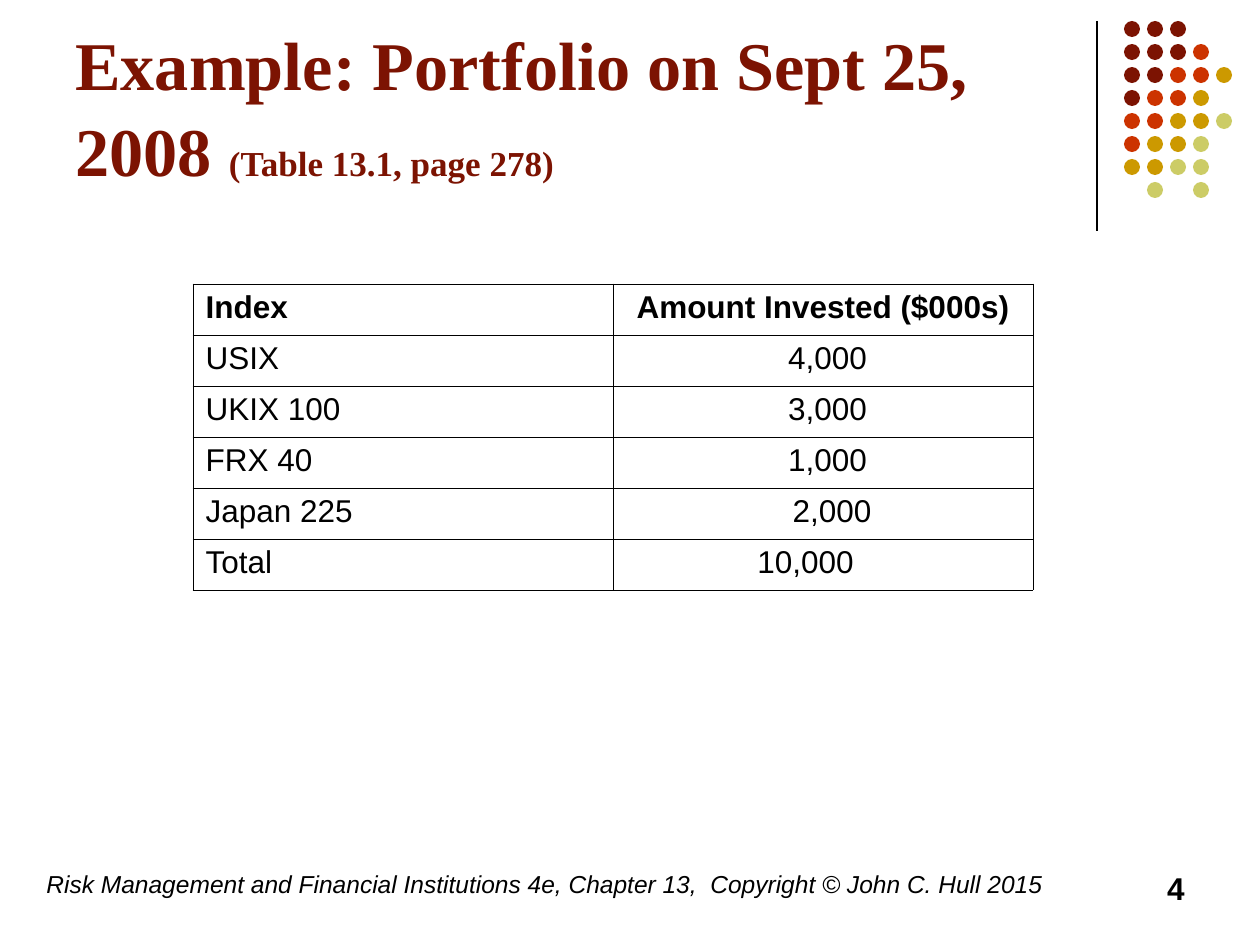
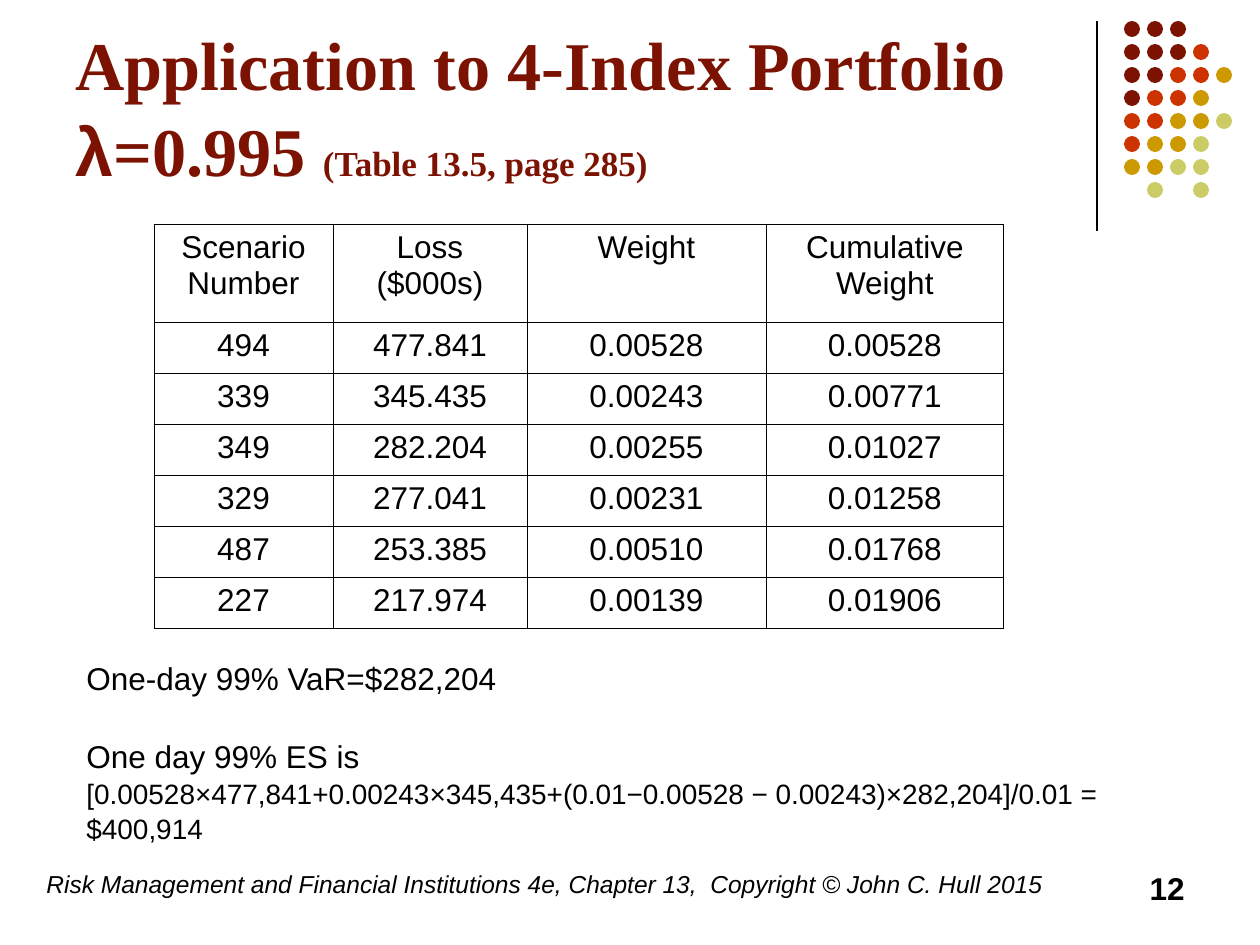
from dataclasses import dataclass

from lxml.etree import SubElement
from pptx import Presentation
from pptx.dml.color import RGBColor
from pptx.enum.shapes import MSO_CONNECTOR, MSO_SHAPE
from pptx.enum.text import MSO_ANCHOR, PP_ALIGN
from pptx.oxml import parse_xml
from pptx.oxml.ns import nsdecls, qn
from pptx.util import Emu, Pt


@dataclass(frozen=True)
class Theme:
    ink: str = "000000"
    dark: str = "7C1302"
    red: str = "CC3300"
    gold: str = "CC9900"
    lime: str = "CCCC66"
    sans: str = "Arial"
    serif: str = "Times New Roman"
    head: int = 39
    cite: int = 20
    body: int = 18
    small: int = 16
    foot: int = 14
    lead: float = 1.05
    edge: float = 0.45
    rule: float = 0.75


LOOK = Theme()
SCALE = 914400 / 126
DOTS = ["ddd", "dddr", "ddrrg", "drrg", "rrggl", "rggl", "ggll", " l l"]
HUES = {"d": LOOK.dark, "r": LOOK.red, "g": LOOK.gold, "l": LOOK.lime}
FOOT = ("Risk Management and Financial Institutions 4e, Chapter 13,  "
        "Copyright © John C. Hull 2015")


def px(count):
    return Emu(round(count * SCALE))


def say(para, text, size=LOOK.body, font=LOOK.sans, hue=LOOK.ink,
        bold=False, slant=False):
    run = para.add_run()
    run.text = text
    run.font.size = Pt(size)
    run.font.name = font
    run.font.color.rgb = RGBColor.from_string(hue)
    run.font.bold = bold
    run.font.italic = slant


def add_box(slide, left, top, width, height, anchor=MSO_ANCHOR.TOP):
    frame = slide.shapes.add_textbox(*map(px, (left, top, width, height))).text_frame
    frame.word_wrap = True
    frame.vertical_anchor = anchor
    frame.paragraphs[0].line_spacing = LOOK.lead
    return frame


def add_dots(slide):
    for row, marks in enumerate(DOTS):
        for col, mark in enumerate(marks):
            if mark == " ":
                continue
            dot = slide.shapes.add_shape(
                MSO_SHAPE.OVAL, px(1124 + 23 * col), px(21 + 23 * row), px(16), px(16))
            dot.shadow.inherit = False
            dot.fill.solid()
            dot.fill.fore_color.rgb = RGBColor.from_string(HUES[mark])
            dot.line.fill.background()


def add_rule(slide):
    rule = slide.shapes.add_connector(
        MSO_CONNECTOR.STRAIGHT, px(1097), px(21), px(1097), px(231))
    rule.line.color.rgb = RGBColor.from_string(LOOK.ink)
    rule.line.width = Pt(LOOK.rule)
    SubElement(rule._element.spPr, qn("a:effectLst"))


def add_title(slide, first, second, cite):
    para = add_box(slide, 63, 17, 1040, 179, MSO_ANCHOR.BOTTOM).paragraphs[0]
    style = dict(size=LOOK.head, hue=LOOK.dark, bold=True)
    say(para, first, font=LOOK.serif, **style)
    if second:
        para.add_line_break()
        for text, font in second:
            say(para, text, font=font, **style)
    say(para, cite, font=LOOK.serif, **{**style, "size": LOOK.cite})


def add_foot(slide, page):
    say(add_box(slide, 34, 861, 1042, 63).paragraphs[0], FOOT,
        size=LOOK.foot, slant=True)
    para = add_box(slide, 903, 861, 294, 63).paragraphs[0]
    para.alignment = PP_ALIGN.RIGHT
    say(para, page, bold=True)


def add_edge(cell):
    cell.fill.background()
    props = cell._tc.get_or_add_tcPr()
    for spot, side in enumerate("LRTB"):
        props.insert(spot, parse_xml(
            f'<a:ln{side} {nsdecls("a")} w="{Pt(LOOK.edge)}"><a:solidFill>'
            f'<a:srgbClr val="{LOOK.ink}"/></a:solidFill></a:ln{side}>'))


def add_grid(slide, left, top, widths, heights, rows):
    table = slide.shapes.add_table(
        len(rows), len(widths), px(left), px(top),
        px(sum(widths)), px(sum(heights))).table
    table.first_row = table.horz_banding = False
    for col, width in zip(table.columns, widths):
        col.width = px(width)
    for row, height in zip(table.rows, heights):
        row.height = px(height)
    for line, texts in enumerate(rows):
        for col, text in enumerate(texts):
            cell = table.cell(line, col)
            add_edge(cell)
            para = cell.text_frame.paragraphs[0]
            para.alignment = PP_ALIGN.CENTER
            say(para, text)
    return table


def add_slide(deck, page, first, cite, second=()):
    slide = deck.slides.add_slide(deck.slide_layouts[6])
    add_rule(slide)
    add_dots(slide)
    add_title(slide, first, second, cite)
    add_foot(slide, page)
    return slide


def make_funds(deck):
    slide = add_slide(deck, "4", "Example: Portfolio on Sept 25, 2008 ",
                      "(Table 13.1, page 278)")
    rows = [("Index", "Amount Invested ($000s)"), ("USIX", "4,000"),
            ("UKIX 100", "3,000"), ("FRX 40", "1,000"),
            ("Japan 225", "2,000"), ("Total", "10,000")]
    table = add_grid(slide, 193, 284, [420, 420], [51] * 6, rows)
    for line, shift in enumerate([0, 9, 9, 9, 18, -35]):
        name, value = table.cell(line, 0), table.cell(line, 1)
        name.text_frame.paragraphs[0].alignment = PP_ALIGN.LEFT
        value.margin_left = px(13 + max(shift, 0))
        value.margin_right = px(13 + max(-shift, 0))
    for cell in table.rows[0].cells:
        cell.text_frame.paragraphs[0].runs[0].font.bold = True


def make_weights(deck):
    slide = add_slide(deck, "12", "Application to 4-Index Portfolio",
                      "(Table 13.5, page 285)",
                      [("λ", LOOK.sans), ("=0.995 ", LOOK.serif)])
    rows = [("Scenario Number", "Loss ($000s)", "Weight", "Cumulative Weight"),
            ("494", "477.841", "0.00528", "0.00528"),
            ("339", "345.435", "0.00243", "0.00771"),
            ("349", "282.204", "0.00255", "0.01027"),
            ("329", "277.041", "0.00231", "0.01258"),
            ("487", "253.385", "0.00510", "0.01768"),
            ("227", "217.974", "0.00139", "0.01906")]
    add_grid(slide, 154, 224, [179, 194, 239, 238], [98] + [51] * 6, rows)
    frame = add_box(slide, 74, 651, 1152, 227)
    say(frame.paragraphs[0], "One-day 99% VaR=$282,204")
    notes = [("One day 99% ES is", LOOK.body, 22),
             ("[0.00528×477,841+0.00243×345,435+(0.01−0.00528 − 0.00243)"
              "×282,204]/0.01 = $400,914", LOOK.small, 0)]
    for text, size, gap in notes:
        para = frame.add_paragraph()
        para.line_spacing = LOOK.lead
        para.space_before = Pt(gap)
        say(para, text, size=size)


def main():
    deck = Presentation()
    deck.slide_width, deck.slide_height = px(1260), px(945)
    make_funds(deck)
    make_weights(deck)
    deck.save("out.pptx")


if __name__ == "__main__":
    main()
